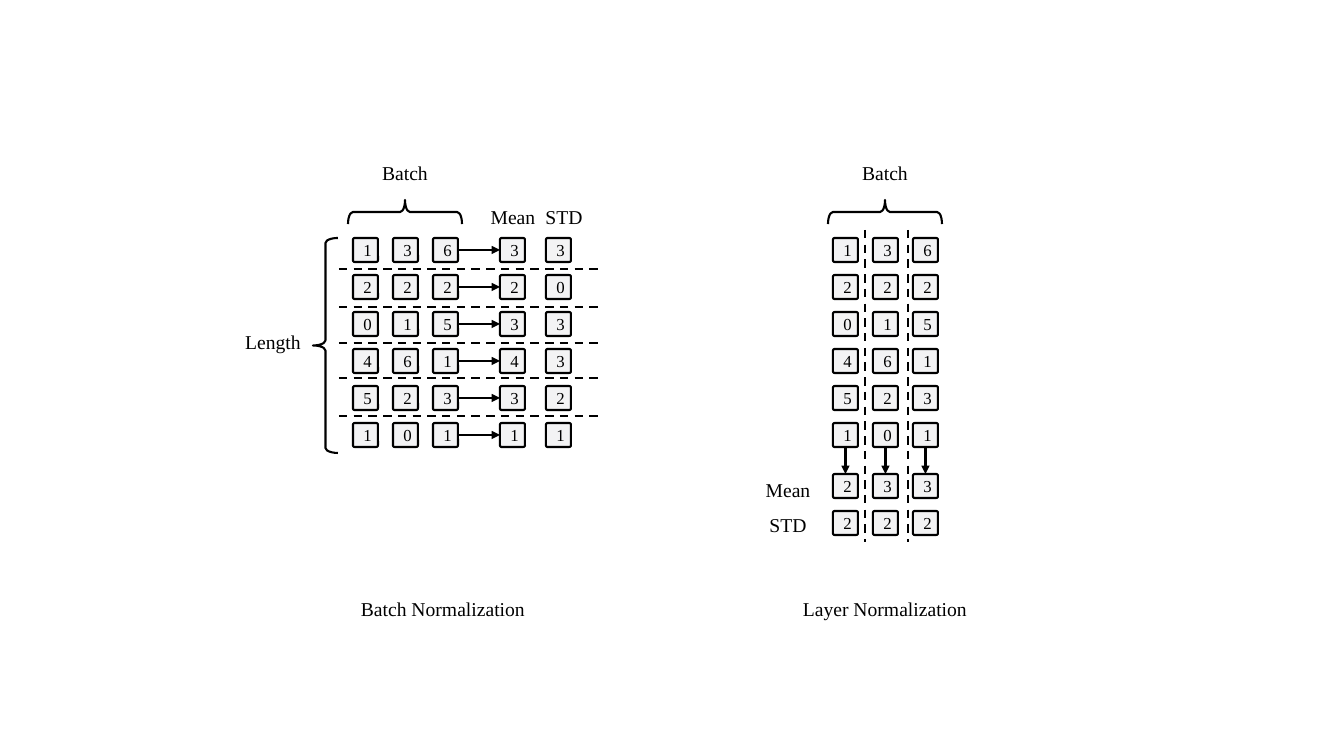
from lxml import etree
from pptx import Presentation
from pptx.dml.color import RGBColor
from pptx.enum.dml import MSO_LINE
from pptx.enum.shapes import MSO_CONNECTOR, MSO_SHAPE
from pptx.enum.text import MSO_ANCHOR, PP_ALIGN
from pptx.oxml.ns import qn
from pptx.util import Pt

PX = 914400 / 100.8
STRAIGHT = MSO_CONNECTOR.STRAIGHT
ROUNDED, BRACE = MSO_SHAPE.ROUNDED_RECTANGLE, MSO_SHAPE.LEFT_BRACE
DASH = MSO_LINE.DASH
MIDDLE, CENTER = MSO_ANCHOR.MIDDLE, PP_ALIGN.CENTER
TOP, LEFT, BOTTOM, RIGHT = range(4)
THEME = {
    "font": "Times New Roman",
    "ink": RGBColor(0x00, 0x00, 0x00),
    "cell": RGBColor(0xF3, 0xF3, 0xF4),
    "label_size": Pt(14),
    "cell_size": Pt(12),
    "stroke": Pt(1.5),
}

prs = Presentation()
prs.slide_width, prs.slide_height = round(1344 * PX), round(756 * PX)
s = prs.slides.add_slide(prs.slide_layouts[6])


def write(tf, lines, size, spacing=None):
    """Fill a text frame with centred paragraphs."""
    tf.word_wrap = True
    for i, text in enumerate(lines):
        p = tf.paragraphs[0] if i == 0 else tf.add_paragraph()
        p.text = text
        p.alignment = CENTER
        p.line_spacing = spacing
        p.font.name, p.font.size = THEME["font"], size
        p.font.color.rgb = THEME["ink"]


def add_line(x1, y1, x2, y2):
    """Draw a plain black line between two points in px."""
    line = s.shapes.add_connector(STRAIGHT, *[round(v * PX) for v in (x1, y1, x2, y2)])
    line.line.color.rgb = THEME["ink"]
    line.line.width = THEME["stroke"]
    etree.SubElement(line._element.spPr, qn("a:effectLst"))
    return line


# Number cells: three samples across, six features down
data = ["136", "222", "015", "461", "523", "101"]
batch_stats = ["33", "20", "33", "43", "32", "11"]
layer_stats = ["233", "222"]
CELL_W, CELL_H, COL_STEP, ROW_STEP, TOP_Y = 25, 24, 40, 37, 238
BATCH_X, LAYER_X = 353, 833
grids = [
    ("batch", data, BATCH_X, TOP_Y, COL_STEP),
    ("batch stats", batch_stats, 500, TOP_Y, 46),
    ("layer", data, LAYER_X, TOP_Y, COL_STEP),
    ("layer stats", layer_stats, LAYER_X, 474, COL_STEP),
]
cells = {}
for name, rows, left, top, step in grids:
    for r, row in enumerate(rows):
        for c, digit in enumerate(row):
            box = (left + c * step, top + r * ROW_STEP, CELL_W, CELL_H)
            sp = s.shapes.add_shape(ROUNDED, *[round(v * PX) for v in box])
            sp.adjustments[0] = 0.07
            sp.shadow.inherit = False
            sp.fill.solid()
            sp.fill.fore_color.rgb = THEME["cell"]
            sp.line.color.rgb = THEME["ink"]
            sp.line.width = THEME["stroke"]
            sp.text_frame.vertical_anchor = MIDDLE
            write(sp.text_frame, [digit], THEME["cell_size"])
            cells[name, r, c] = sp

# Arrows from the data to its statistics
arrows = [(("batch", r, 2), RIGHT, ("batch stats", r, 0), LEFT) for r in range(6)]
arrows += [(("layer", 5, c), BOTTOM, ("layer stats", 0, c), TOP) for c in range(3)]
for start, start_side, end, end_side in arrows:
    arrow = add_line(0, 0, 0, 0)
    arrow.begin_connect(cells[start], start_side)
    arrow.end_connect(cells[end], end_side)
    etree.SubElement(arrow.line._get_or_add_ln(), qn("a:tailEnd"), type="triangle")

# Dashed separators between features and between samples
separators = [(339, y, 600, y) for y in (269, 307, 343, 378, 416)]
separators += [(x, 230, x, 542) for x in (865, 908)]
for ends in separators:
    add_line(*ends).line.dash_style = DASH

# Braces over the batches and along the length
for x, y, w, h, angle in [
    (393, 155, 24, 114, 90),
    (873, 155, 24, 114, 90),
    (313, 238, 25, 215, 0),
]:
    brace = s.shapes.add_shape(BRACE, *[round(v * PX) for v in (x, y, w, h)])
    brace.adjustments[0] = 0.2
    brace.rotation = angle
    brace.shadow.inherit = False
    brace.fill.background()
    brace.line.color.rgb = THEME["ink"]
    brace.line.width = THEME["stroke"]

# Labels and captions
for lines, x, y, w, h, spacing in [
    (["Batch"], 311, 156, 188, 34, None),
    (["Batch"], 791, 156, 188, 34, None),
    (["Mean"], 489, 200, 48, 34, None),
    (["STD"], 540, 200, 48, 34, None),
    (["Length"], 179, 325, 188, 34, None),
    (["Mean", "STD"], 694, 461, 188, 78, 1.5),
    (["Batch Normalization"], 349, 592, 188, 34, None),
    (["Layer Normalization"], 791, 592, 188, 34, None),
]:
    tf = s.shapes.add_textbox(*[round(v * PX) for v in (x, y, w, h)]).text_frame
    tf.margin_left = tf.margin_right = 0
    write(tf, lines, THEME["label_size"], spacing)

prs.save("out.pptx")
